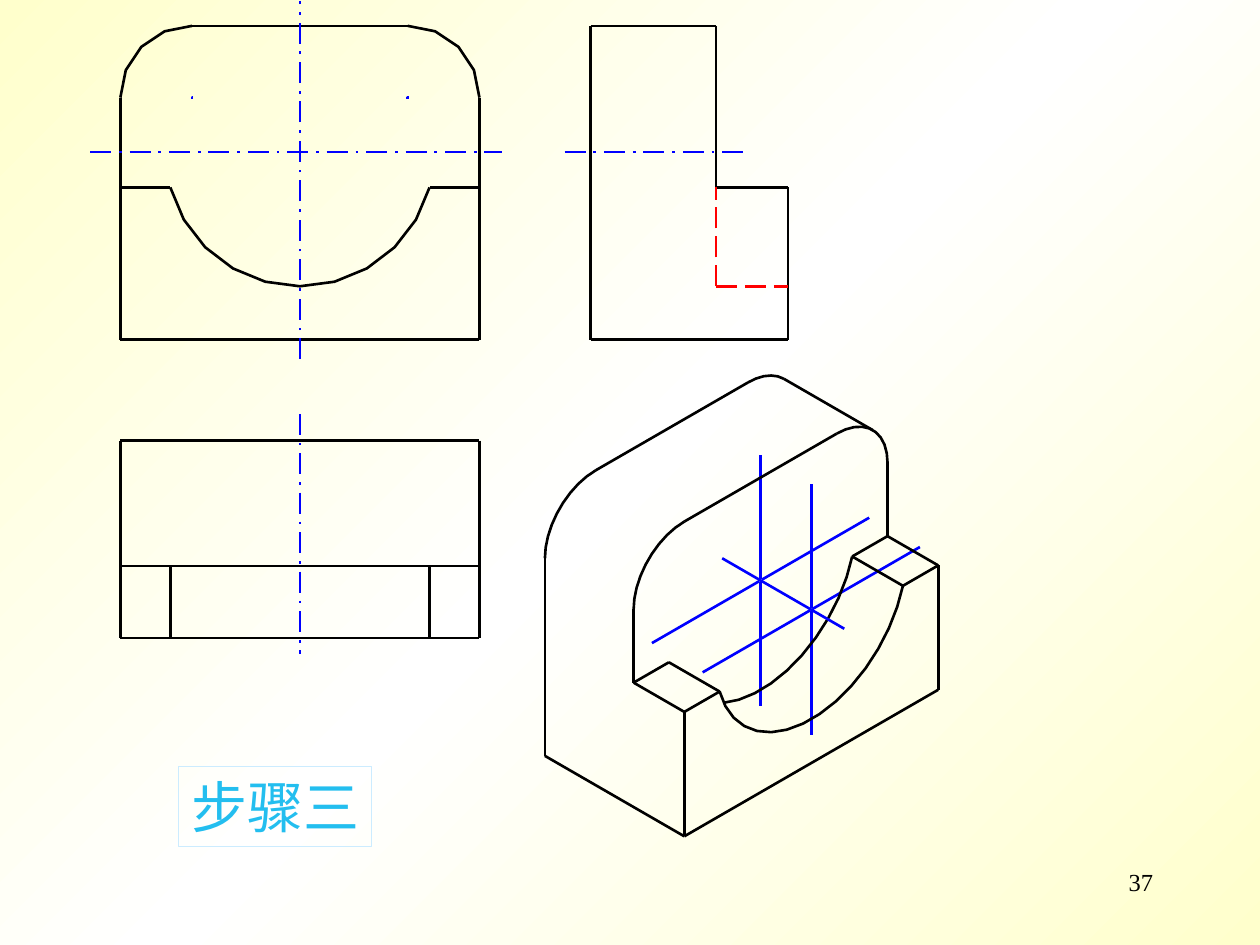
import copy
import math
from dataclasses import dataclass
from typing import Callable, Optional

import pptx
import pptx.dml.color
import pptx.enum.dml
import pptx.enum.shapes
import pptx.enum.text
import pptx.oxml
import pptx.oxml.ns
import pptx.util

Pt = pptx.util.Pt
RGB = pptx.dml.color.RGBColor
Align = pptx.enum.text.PP_ALIGN
Dash = pptx.enum.dml.MSO_LINE
qn = pptx.oxml.ns.qn

BLACK = RGB(0x00, 0x00, 0x00)
BLUE = RGB(0x00, 0x00, 0xFF)
RED = RGB(0xFF, 0x00, 0x00)
CYAN = RGB(0x23, 0xBE, 0xEF)
PALE_BLUE = RGB(0xCC, 0xEC, 0xFF)
CREAM = RGB(0xFF, 0xFF, 0xCC)
WHITE = RGB(0xFF, 0xFF, 0xFF)

# Part dimensions in points; origin on the slot axis, y down, z from front to back
W, TOP, STEP, BOTTOM = 102.6, -72, 20.3, 107.4
PLATE, BACK = 41, 112.7
FILLET, SLOT = 41, 76.8
FX, FY = W - FILLET, TOP + FILLET
SX = math.sqrt(SLOT ** 2 - STEP ** 2)
SLOT_ANGLE = math.degrees(math.asin(STEP / SLOT))
ARM, GAP = 87.8, 1

Point3 = tuple[float, float, float]
Point2 = tuple[float, float]


# Views: each one projects a point of the part onto the slide
def front(x: float, y: float, z: float) -> Point2:
    return 171.4 + x, 86.8 + y


def side(x: float, y: float, z: float) -> Point2:
    return 450.2 - z, 86.8 + y


def top(x: float, y: float, z: float) -> Point2:
    return 171.4 + x, 364.5 - z


def iso(x: float, y: float, z: float) -> Point2:
    return 463.6 + 0.707 * (x - z), 348.4 - 0.408 * (x + z) + 0.816 * y


@dataclass
class Edge:
    view: Callable[[float, float, float], Point2]
    points: list[Point3]
    color: RGB = BLACK
    dash: Optional[Dash] = None
    curved: bool = False


@dataclass
class Label:
    text: str
    box: tuple[float, float, float, float]
    size: float
    color: RGB
    align: Align
    border: Optional[RGB] = None


def arc(cx: float, cy: float, radius: float, start: float, end: float,
        steps: int, z: float = 0) -> list[Point3]:
    angles = [math.radians(start + (end - start) * i / steps) for i in range(steps + 1)]
    return [(cx + radius * math.cos(a), cy + radius * math.sin(a), z) for a in angles]


def mark(view: Callable, x: float, y: float, z: float, size: float) -> Edge:
    return Edge(view, [(x, y + size, z), (x, y, z), (x + size, y, z)], BLUE, curved=True)


def set_all(target: object, values: dict) -> None:
    for name, value in values.items():
        setattr(target, name, value)


def style_line(sp, color: RGB, dash: Optional[Dash]) -> None:
    sp.line.color.rgb = color
    set_all(sp.line, {"width": Pt(1.5), "dash_style": dash})


def draw_edge(s, edge: Edge) -> None:
    pts = [tuple(Pt(v) for v in edge.view(*p)) for p in edge.points]
    if edge.curved:
        builder = s.shapes.build_freeform(*pts[0])
        builder.add_line_segments(pts[1:], close=False)
        sp = builder.convert_to_shape()
        sp.fill.background()
        sp.shadow.inherit = False
        style_line(sp, edge.color, edge.dash)
        return
    for a, b in zip(pts, pts[1:]):
        sp = s.shapes.add_connector(pptx.enum.shapes.MSO_CONNECTOR.STRAIGHT, *a, *b)
        style_line(sp, edge.color, edge.dash)
        sp._element.spPr.append(pptx.oxml.parse_xml(
            '<a:effectLst xmlns:a="http://schemas.openxmlformats.org/drawingml/2006/main"/>'))


def draw_label(s, label: Label) -> None:
    box = [Pt(v) for v in label.box]
    if label.border is None:
        sp = s.shapes.add_textbox(*box)
    else:
        sp = s.shapes.add_shape(pptx.enum.shapes.MSO_SHAPE.RECTANGLE, *box)
        sp.fill.background()
        sp.shadow.inherit = False
        sp.line.color.rgb = label.border
        sp.line.width = Pt(0)
    tf = sp.text_frame
    set_all(tf, {"word_wrap": label.border is None,
                 "vertical_anchor": pptx.enum.text.MSO_ANCHOR.TOP})
    if label.border is not None:
        set_all(tf, {"auto_size": pptx.enum.text.MSO_AUTO_SIZE.SHAPE_TO_FIT_TEXT,
                     "margin_left": Pt(6), "margin_right": Pt(6)})
    p = tf.paragraphs[0]
    p.alignment = label.align
    r = p.add_run()
    r.text = label.text
    set_all(r.font, {"name": "Times New Roman", "size": Pt(label.size)})
    r.font.color.rgb = label.color


def paint_background(s) -> None:
    fill = s.background.fill
    fill.gradient()
    fill.gradient_angle = 315
    stops = next(s._element.iter(qn("a:gsLst")))
    stops.insert(1, copy.deepcopy(stops[0]))
    for stop, color, position in zip(fill.gradient_stops, (CREAM, WHITE, CREAM), (0, 0.5, 1)):
        stop.color.rgb = color
        stop.position = position


def build_edges() -> list[Edge]:
    # Centre marks
    edges = [mark(front, x, FY, 0, 0.7) for x in (-FX, FX)]
    edges += [mark(iso, 0, 0, z, 0.3) for z in (0, PLATE, PLATE)]
    # Isometric axes
    for z in (0, PLATE):
        for dx, dy in ((1, 0), (-1, 0), (0, 1), (0, -1)):
            edges.append(Edge(iso, [(dx * d, dy * d, z) for d in (GAP, ARM)], BLUE))
    # Front view
    for sign in (-1, 1):
        edges.append(Edge(front, [(sign * W, FY, 0), (sign * W, STEP, 0),
                                  (sign * W, BOTTOM, 0)]))
        edges.append(Edge(front, [(sign * W, STEP, 0), (sign * SX, STEP, 0)]))
    edges += [
        Edge(front, arc(-FX, FY, FILLET, 270, 180, 4), curved=True),
        Edge(front, [(-FX, TOP, 0), (FX, TOP, 0)]),
        Edge(front, arc(FX, FY, FILLET, 0, -90, 4), curved=True),
        Edge(front, [(W, BOTTOM, 0), (-W, BOTTOM, 0)]),
        Edge(front, arc(0, 0, SLOT, 180 - SLOT_ANGLE, SLOT_ANGLE, 10), curved=True),
    ]
    # Top view
    edges += [Edge(top, [(x, 0, z) for x in (-W, -FX, FX, W)]) for z in (BACK, PLATE)]
    edges.append(Edge(top, [(x, 0, 0) for x in (-W, -SX, SX, W)]))
    edges += [Edge(top, [(x, 0, z) for z in (BACK, PLATE, 0)]) for x in (-W, W)]
    edges += [Edge(top, [(x, 0, PLATE), (x, 0, 0)]) for x in (-SX, SX)]
    # Side view
    edges += [
        Edge(side, [(0, FY, BACK), (0, TOP, BACK), (0, TOP, PLATE), (0, FY, PLATE),
                    (0, STEP, PLATE), (0, STEP, 0), (0, BOTTOM, 0),
                    (0, BOTTOM, BACK), (0, FY, BACK)]),
        Edge(side, [(0, SLOT, PLATE), (0, STEP, PLATE)], RED, Dash.LONG_DASH),
        Edge(side, [(0, SLOT, PLATE), (0, SLOT, 0)], RED, Dash.LONG_DASH),
    ]
    # Isometric view: base, steps and plate
    edges.append(Edge(iso, [(-SX, STEP, 0), (-W, STEP, 0), (-W, BOTTOM, 0),
                            (W, BOTTOM, 0), (W, STEP, 0), (SX, STEP, 0)]))
    for sign in (-1, 1):
        edges.append(Edge(iso, [(sign * W, STEP, 0), (sign * W, STEP, PLATE),
                                (sign * SX, STEP, PLATE), (sign * SX, STEP, 0)]))
        edges.append(Edge(iso, [(sign * W, STEP, PLATE), (sign * W, FY, PLATE)]))
    for z, end, steps in ((PLATE, 0, 9), (BACK, -45, 5)):
        edges += [
            Edge(iso, arc(-FX, FY, FILLET, 270, 180, 9, z), curved=True),
            Edge(iso, [(-FX, TOP, z), (FX, TOP, z)]),
            Edge(iso, arc(FX, FY, FILLET, end, -90, steps, z), curved=True),
        ]
    tangent = FILLET / math.sqrt(2)
    edges += [
        Edge(iso, [(-W, FY, BACK), (-W, BOTTOM, BACK), (-W, BOTTOM, 0)]),
        Edge(iso, [(FX + tangent, FY - tangent, z) for z in (PLATE, BACK)]),
        Edge(iso, arc(0, 0, SLOT, 180 - SLOT_ANGLE, SLOT_ANGLE, 15), curved=True),
        Edge(iso, arc(0, 0, SLOT, 113, SLOT_ANGLE, 10, PLATE), curved=True),
        Edge(iso, [(0, 0, 72), (0, 0, -26.7)], BLUE),
    ]
    # Centre lines
    for view, start, end in ((front, (0, 118.4, 0), (0, -86.1, 0)),
                             (front, (-119.9, 0, 0), (115.6, 0, 0)),
                             (top, (0, 0, 128), (0, 0, -9.5)),
                             (side, (0, 0, 127.6), (0, 0, 25.2))):
        edges.append(Edge(view, [start, end], BLUE, Dash.LONG_DASH_DOT))
    return edges


def main() -> None:
    prs = pptx.Presentation()
    set_all(prs, {"slide_width": Pt(720), "slide_height": Pt(540)})
    s = prs.slides.add_slide(prs.slide_layouts[6])
    paint_background(s)
    draw_label(s, Label("37", (516, 492, 150, 36), 14, BLACK, Align.RIGHT))
    for edge in build_edges():
        draw_edge(s, edge)
    draw_label(s, Label("步骤三", (102.2, 437.8, 110.2, 46), 32, CYAN, Align.CENTER, PALE_BLUE))
    prs.save("out.pptx")


if __name__ == "__main__":
    main()
